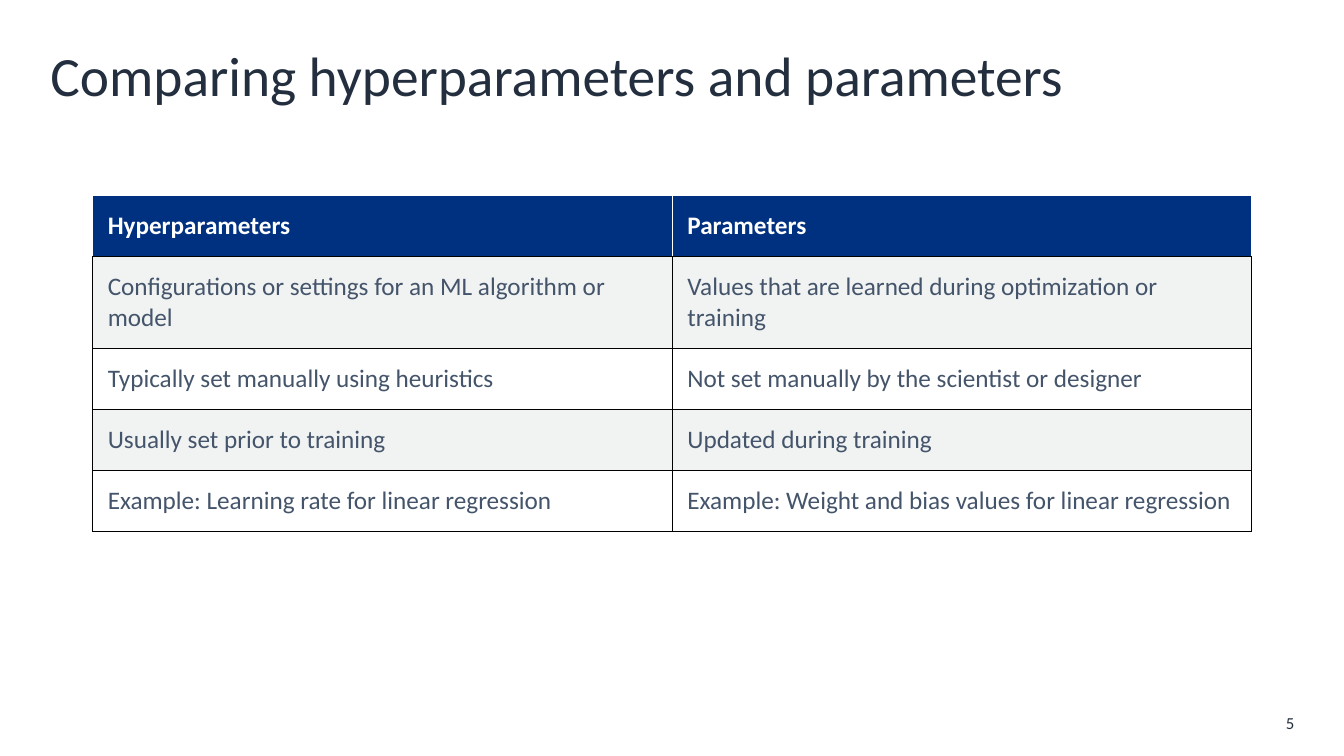
from lxml import etree
from pptx import Presentation
from pptx.dml.color import RGBColor
from pptx.enum.text import MSO_ANCHOR, MSO_AUTO_SIZE, PP_ALIGN
from pptx.oxml.ns import qn
from pptx.util import Pt

MIDDLE = MSO_ANCHOR.MIDDLE
LEFT, RIGHT = PP_ALIGN.LEFT, PP_ALIGN.RIGHT
NO_AUTOFIT = MSO_AUTO_SIZE.NONE
TITLE_ONLY = 5

FONT = "Calibri"
INK, BODY, NAVY = "232F3E", "44546A", "003181"
WHITE, BLACK, BAND = "FFFFFF", "000000", "F1F3F3"
CELL_INSET = 10.8
LINE_HEIGHT = 22

ROWS = [
    ("Hyperparameters", "Parameters"),
    ("Configurations or settings for an ML algorithm or model",
     "Values that are learned during optimization or training"),
    ("Typically set manually using heuristics",
     "Not set manually by the scientist or designer"),
    ("Usually set prior to training", "Updated during training"),
    ("Example: Learning rate for linear regression",
     "Example: Weight and bias values for linear regression"),
]
LINES_PER_ROW = [1, 2, 1, 1, 1]


def rgb(color):
    return RGBColor.from_string(color)


def set_text(tf, text, size, color, bold=False, align=LEFT):
    tf.text = text
    p = tf.paragraphs[0]
    p.alignment = align
    font = p.runs[0].font
    font.name, font.size, font.bold = FONT, Pt(size), bold
    font.color.rgb = rgb(color)


def set_borders(cell, **colors):
    """Draw 1 pt borders; sides are given in schema order L, R, T, B."""
    tcPr = cell._tc.get_or_add_tcPr()
    for side, color in colors.items():
        ln = etree.SubElement(tcPr, qn(f"a:ln{side}"), w=str(Pt(1)))
        fill = etree.SubElement(ln, qn("a:solidFill"))
        etree.SubElement(fill, qn("a:srgbClr"), val=color)


def add_title(s, left, top, width, height):
    title = s.shapes.title
    title.left, title.top = Pt(left), Pt(top)
    title.width, title.height = Pt(width), Pt(height)
    tf = title.text_frame
    tf.auto_size = NO_AUTOFIT
    tf.vertical_anchor = MIDDLE
    set_text(tf, "Comparing hyperparameters and parameters", 39.6, INK)


def add_comparison(s, left, top, width):
    heights = [2 * CELL_INSET + n * LINE_HEIGHT for n in LINES_PER_ROW]
    frame = s.shapes.add_table(len(ROWS), 2, Pt(left), Pt(top),
                               Pt(width), Pt(sum(heights)))
    table = frame.table
    table.horz_banding = False
    for i, texts in enumerate(ROWS):
        table.rows[i].height = Pt(heights[i])
        header = i == 0
        edge = WHITE if header else BLACK
        fill = NAVY if header else BAND if i % 2 else WHITE
        for j, text in enumerate(texts):
            cell = table.cell(i, j)
            cell.vertical_anchor = MIDDLE
            cell.margin_left = cell.margin_right = Pt(CELL_INSET)
            cell.margin_top = cell.margin_bottom = Pt(CELL_INSET)
            set_borders(cell, L=edge, R=edge, T=edge, B=BLACK)
            cell.fill.solid()
            cell.fill.fore_color.rgb = rgb(fill)
            set_text(cell.text_frame, text, 18,
                     WHITE if header else BODY, bold=header)


def add_page_number(s, left, top, width, height):
    box = s.shapes.add_textbox(Pt(left), Pt(top), Pt(width), Pt(height))
    tf = box.text_frame
    tf.word_wrap = True
    tf.vertical_anchor = MIDDLE
    set_text(tf, "5", 12, INK, align=RIGHT)


def main():
    prs = Presentation()
    prs.slide_width, prs.slide_height = Pt(960), Pt(540)
    s = prs.slides.add_slide(prs.slide_layouts[TITLE_ONLY])
    add_title(s, 28.8, 24, 903, 57.6)
    add_comparison(s, 66.2, 139.7, 828)
    add_page_number(s, 893.5, 507.6, 38.2, 18)
    prs.save("out.pptx")


if __name__ == "__main__":
    main()
